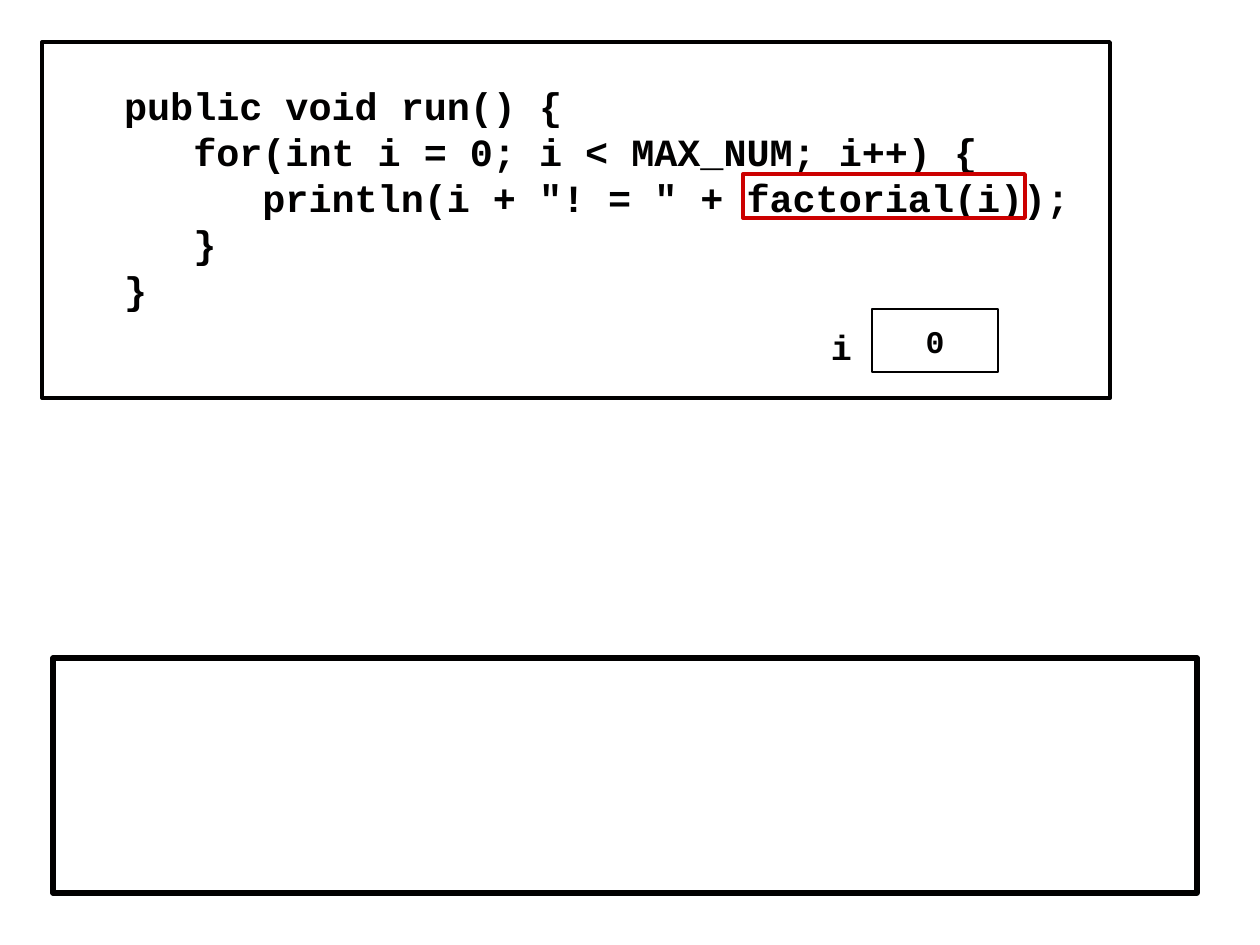
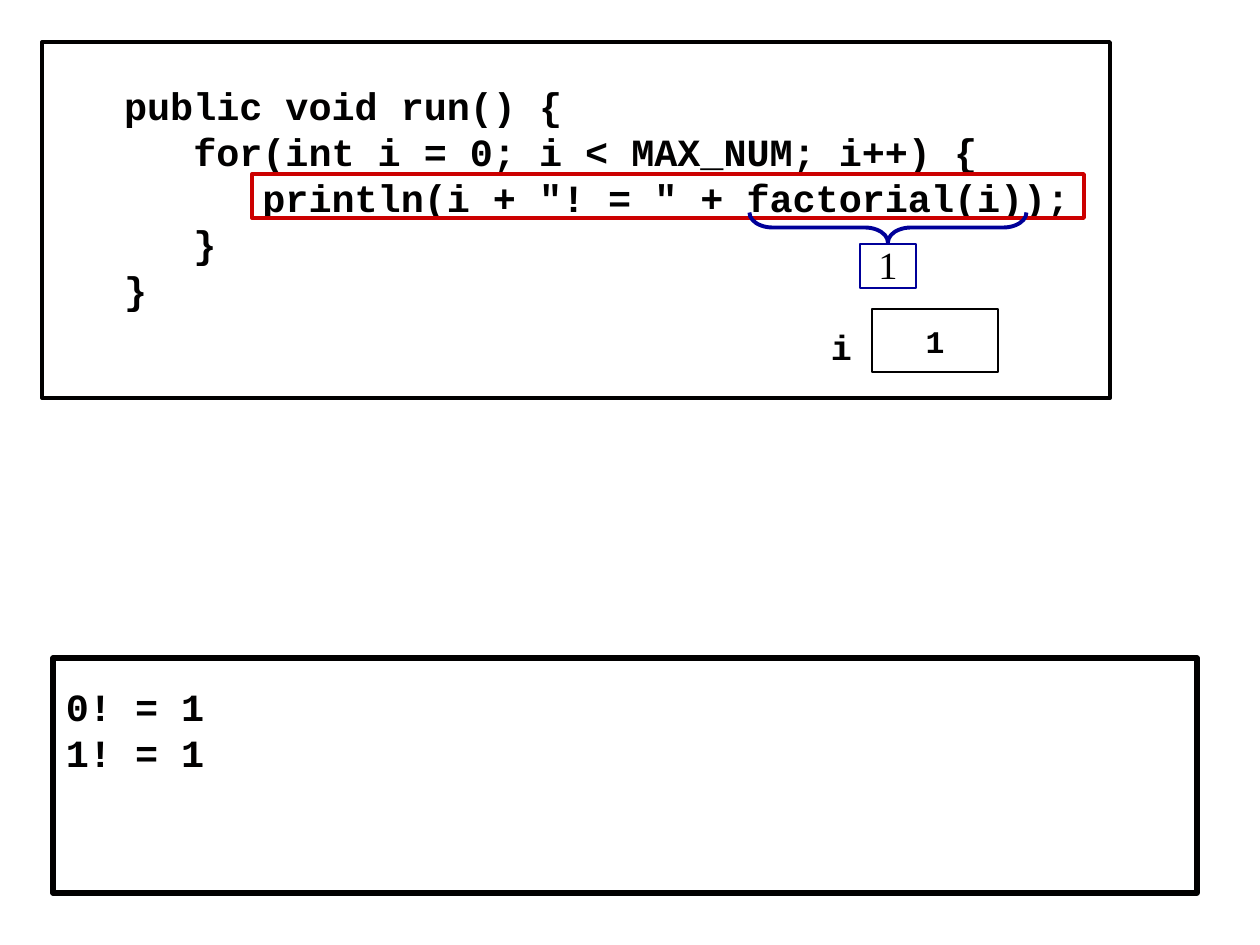
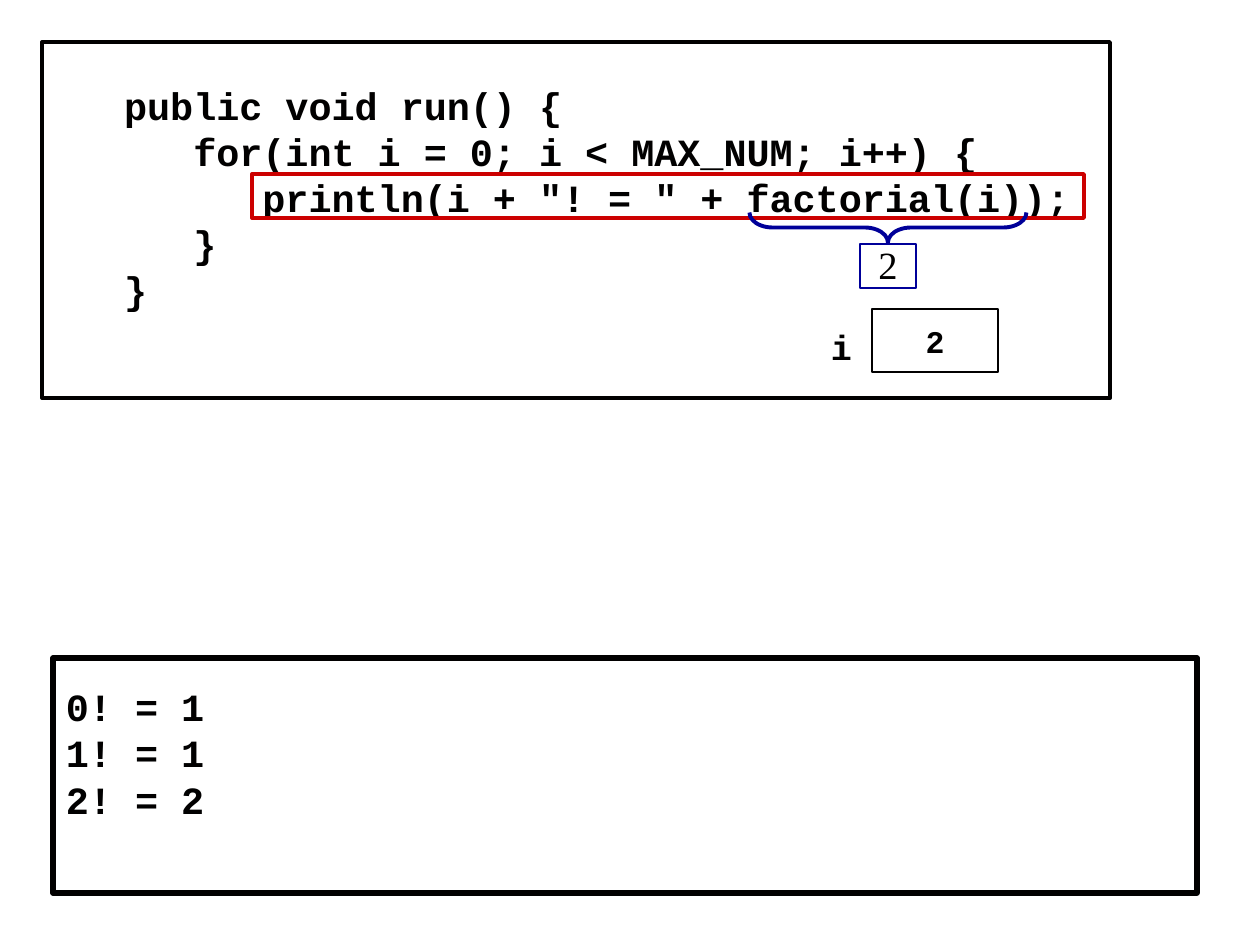
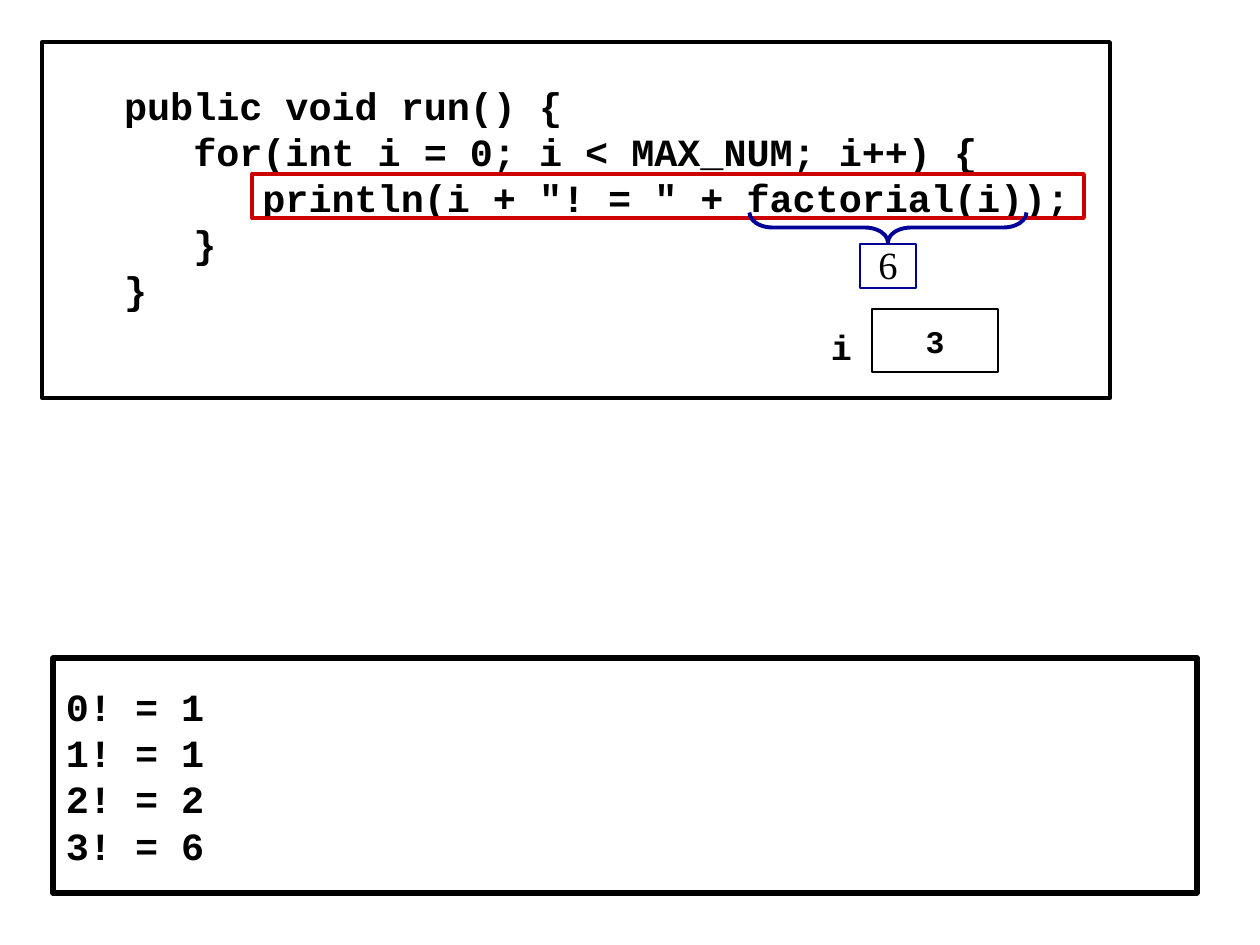
from math import factorial

from pptx import Presentation
from pptx.dml.color import RGBColor
from pptx.enum.shapes import MSO_SHAPE as Shape
from pptx.enum.text import MSO_ANCHOR as Anchor, PP_ALIGN as Align
from pptx.util import Pt

EMU_PER_PX = 914400 / 126
COLORS = {"ink": "010000", "paper": "FFFFFF", "highlight": "CC0000", "result": "000099"}
CODE_FONT = "Courier New"
RESULT_FONT = "Times New Roman"
LINE_HEIGHT = 46
INSET_X, INSET_Y = 13, 6
CONSOLE_LINES = 4
CODE = [
    "   public void run() {",
    "      for(int i = 0; i < MAX_NUM; i++) {",
    '         println(i + "! = " + factorial(i));',
    "      }",
    "   }",
]
CALL_BOX = (743, 174, 282, 44)
STATEMENT_BOX = (252, 174, 832, 44)


def px(length):
    return round(length * EMU_PER_PX)


def color(name):
    return RGBColor.from_string(COLORS[name])


def add_outline(slide, box, line, width, fill=None, kind=Shape.RECTANGLE):
    shape = slide.shapes.add_shape(kind, *map(px, box))
    shape.shadow.inherit = False
    if fill:
        shape.fill.solid()
        shape.fill.fore_color.rgb = color(fill)
    else:
        shape.fill.background()
    shape.line.color.rgb = color(line)
    shape.line.width = Pt(width)
    return shape


def write_lines(shape, lines, size, font=CODE_FONT, bold=True, align=Align.LEFT,
                anchor=Anchor.MIDDLE, top=INSET_Y, bottom=INSET_Y):
    frame = shape.text_frame
    frame.word_wrap = True
    frame.vertical_anchor = anchor
    frame.margin_left = frame.margin_right = px(INSET_X)
    frame.margin_top, frame.margin_bottom = px(top), px(bottom)
    frame.text = "\n".join(lines)
    for paragraph in frame.paragraphs:
        paragraph.alignment = align
        for run in paragraph.runs:
            run.font.name = font
            run.font.size = Pt(size)
            run.font.bold = bold
            run.font.color.rgb = color("ink")


def add_code(slide):
    panel = add_outline(slide, (42, 42, 1068, 356), "ink", 2.25, "paper")
    write_lines(panel, CODE, 22, bottom=INSET_Y + LINE_HEIGHT)


def add_variable(slide, name, value):
    cell = add_outline(slide, (872, 309, 126, 63), "ink", 1.5, "paper")
    write_lines(cell, [str(value)], 18, align=Align.CENTER)
    label = slide.shapes.add_textbox(*map(px, (818, 319, 63, 54)))
    write_lines(label, [name], 20, anchor=Anchor.TOP)


def add_result(slide, value):
    brace = add_outline(slide, (873, 89, 30, 277), "result", 2.25, kind=Shape.LEFT_BRACE)
    brace.rotation = 270
    brace.adjustments[0] = 0.77
    brace.adjustments[1] = 0.5
    result = add_outline(slide, (860, 244, 56, 44), "result", 1.5)
    write_lines(result, [str(value)], 22, RESULT_FONT, False, Align.CENTER, top=2)


def add_console(slide, lines):
    console = add_outline(slide, (53, 658, 1144, 235), "ink", 3)
    if lines:
        blank_lines = CONSOLE_LINES - len(lines)
        write_lines(console, lines, 22, bottom=INSET_Y + LINE_HEIGHT * blank_lines)


def add_step(presentation, i):
    slide = presentation.slides.add_slide(presentation.slide_layouts[6])
    add_code(slide)
    add_variable(slide, "i", i)
    add_outline(slide, STATEMENT_BOX if i else CALL_BOX, "highlight", 2.25)
    if i:
        add_result(slide, factorial(i))
    add_console(slide, [f"{n}! = {factorial(n)}" for n in range(i + 1)] if i else [])


def main():
    presentation = Presentation()
    presentation.slide_width, presentation.slide_height = px(1260), px(945)
    for i in range(4):
        add_step(presentation, i)
    presentation.save("out.pptx")


if __name__ == "__main__":
    main()
